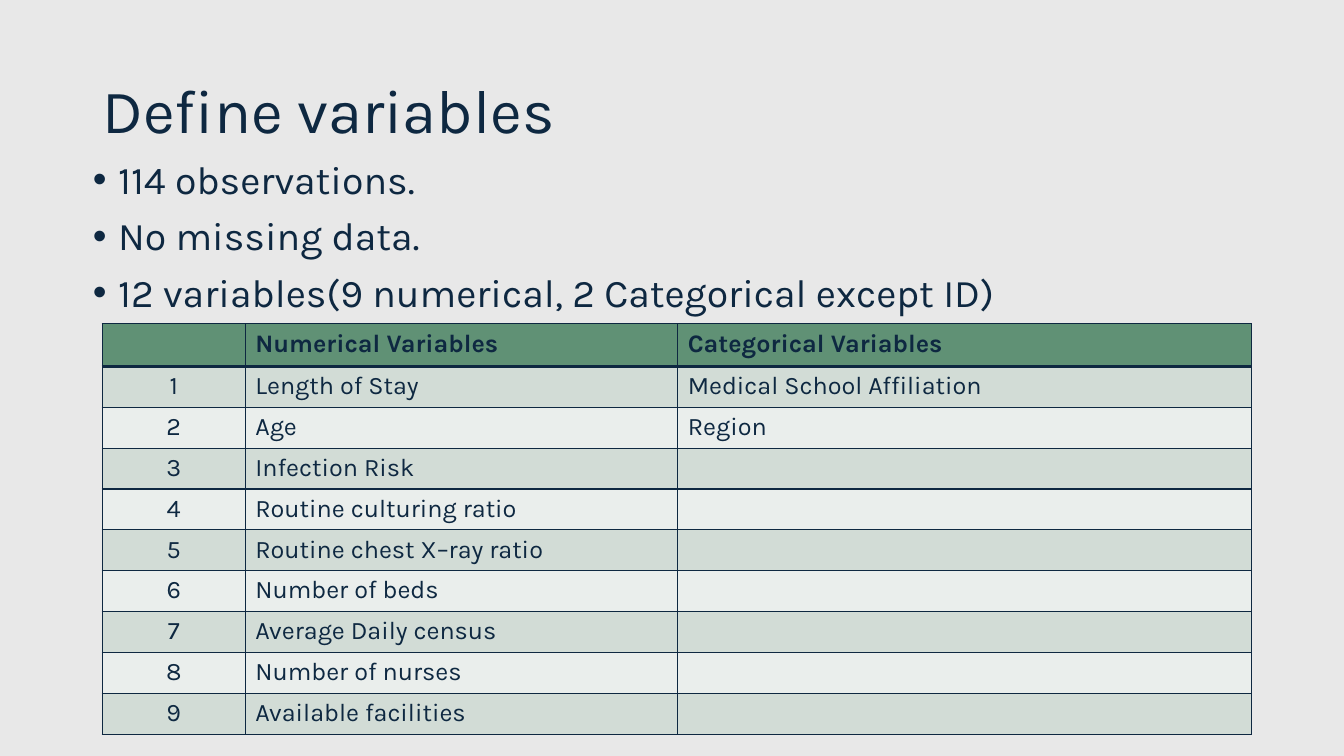
from pptx import Presentation
from pptx.dml.color import RGBColor
from pptx.enum.text import MSO_ANCHOR, MSO_AUTO_SIZE, PP_ALIGN
from pptx.oxml import parse_xml
from pptx.oxml.ns import nsdecls
from pptx.util import Pt

NAVY, GREEN, GRAY = "0E2841", "609175", "E8E8E8"
BANDS = ("D2DCD6", "EAEEEC")
POINTS = ("114 observations.", "No missing data.",
          "12 variables(9 numerical, 2 Categorical except ID)")
NUMERIC = ("Length of Stay", "Age", "Infection Risk", "Routine culturing ratio",
           "Routine chest X–ray ratio", "Number of beds", "Average Daily census",
           "Number of nurses", "Available facilities")
GROUPS = ("Medical School Affiliation", "Region")
WIDTHS = (102.2, 308.9, 409.7)
HEAD, ROW = 30.4, 29.2


def color(value):
    return RGBColor.from_string(value)


def style(font, size, bold=False):
    for name, value in {"name": "Karla", "size": Pt(size), "bold": bold}.items():
        setattr(font, name, value)
    font.color.rgb = color(NAVY)


def place(shape, box, anchor):
    for name, value in zip(("left", "top", "width", "height"), box):
        setattr(shape, name, Pt(value))
    frame = shape.text_frame
    formats = {"word_wrap": True, "auto_size": MSO_AUTO_SIZE.NONE,
               "vertical_anchor": anchor}
    for name, value in formats.items():
        setattr(frame, name, value)
    return frame


def add_text(frame, line, size, before):
    """Write one left-aligned line into the last paragraph of the frame."""
    para = frame.paragraphs[-1]
    formats = {"alignment": PP_ALIGN.LEFT, "line_spacing": 0.9,
               "space_before": Pt(before)}
    for name, value in formats.items():
        setattr(para, name, value)
    run = para.add_run()
    run.text = line
    style(run.font, size)
    return para


def add_title(slide, box):
    frame = place(slide.shapes.title, box, MSO_ANCHOR.MIDDLE)
    add_text(frame, "Define variables", 44, 0)


def add_list(slide, box):
    frame = place(slide.placeholders[1], box, MSO_ANCHOR.TOP)
    for i, line in enumerate(POINTS):
        if i:
            frame.add_paragraph()
        props = add_text(frame, line, 28, 10)._p.get_or_add_pPr()
        props.set("marL", str(Pt(18)))
        props.set("indent", str(Pt(-18)))
        props.append(parse_xml(f'<a:buFont {nsdecls("a")} typeface="Arial"/>'))
        props.append(parse_xml(f'<a:buChar {nsdecls("a")} char="•"/>'))


def add_edges(cell, top, bottom):
    """Draw the four cell borders; left and right are one point wide."""
    props = cell._tc.get_or_add_tcPr()
    for side, width in (("L", 1), ("R", 1), ("T", top), ("B", bottom)):
        props.append(parse_xml(
            f'<a:ln{side} {nsdecls("a")} w="{Pt(width)}"><a:solidFill>'
            f'<a:srgbClr val="{NAVY}"/></a:solidFill></a:ln{side}>'))


def add_grid(slide, left, top):
    rows = [("", "Numerical Variables", "Categorical Variables")]
    for i, name in enumerate(NUMERIC):
        rows.append((str(i + 1), name, GROUPS[i] if i < len(GROUPS) else ""))
    height = HEAD + ROW * len(NUMERIC)
    table = slide.shapes.add_table(len(rows), len(WIDTHS), Pt(left), Pt(top),
                                   Pt(sum(WIDTHS)), Pt(height)).table
    table.horz_banding = False
    for col, width in zip(table.columns, WIDTHS):
        col.width = Pt(width)
    for r, texts in enumerate(rows):
        table.rows[r].height = Pt(ROW if r else HEAD)
        for c, text in enumerate(texts):
            cell = table.cell(r, c)
            add_edges(cell, 3 if r == 1 else 1, 1 if r else 3)
            cell.fill.solid()
            cell.fill.fore_color.rgb = color(BANDS[(r - 1) % 2] if r else GREEN)
            if text:
                para = cell.text_frame.paragraphs[0]
                para.alignment = PP_ALIGN.LEFT if c else PP_ALIGN.CENTER
                run = para.add_run()
                run.text = text
                style(run.font, 18, r == 0)


def main():
    deck = Presentation()
    deck.slide_width, deck.slide_height = Pt(960), Pt(540)
    slide = deck.slides.add_slide(deck.slide_layouts[1])
    fill = slide.background.fill
    fill.solid()
    fill.fore_color.rgb = color(GRAY)
    add_title(slide, (66, 28.75, 828, 104.4))
    add_list(slide, (59.2, 111, 828, 342.6))
    add_grid(slide, 73, 231.3)
    deck.save("out.pptx")


if __name__ == "__main__":
    main()
